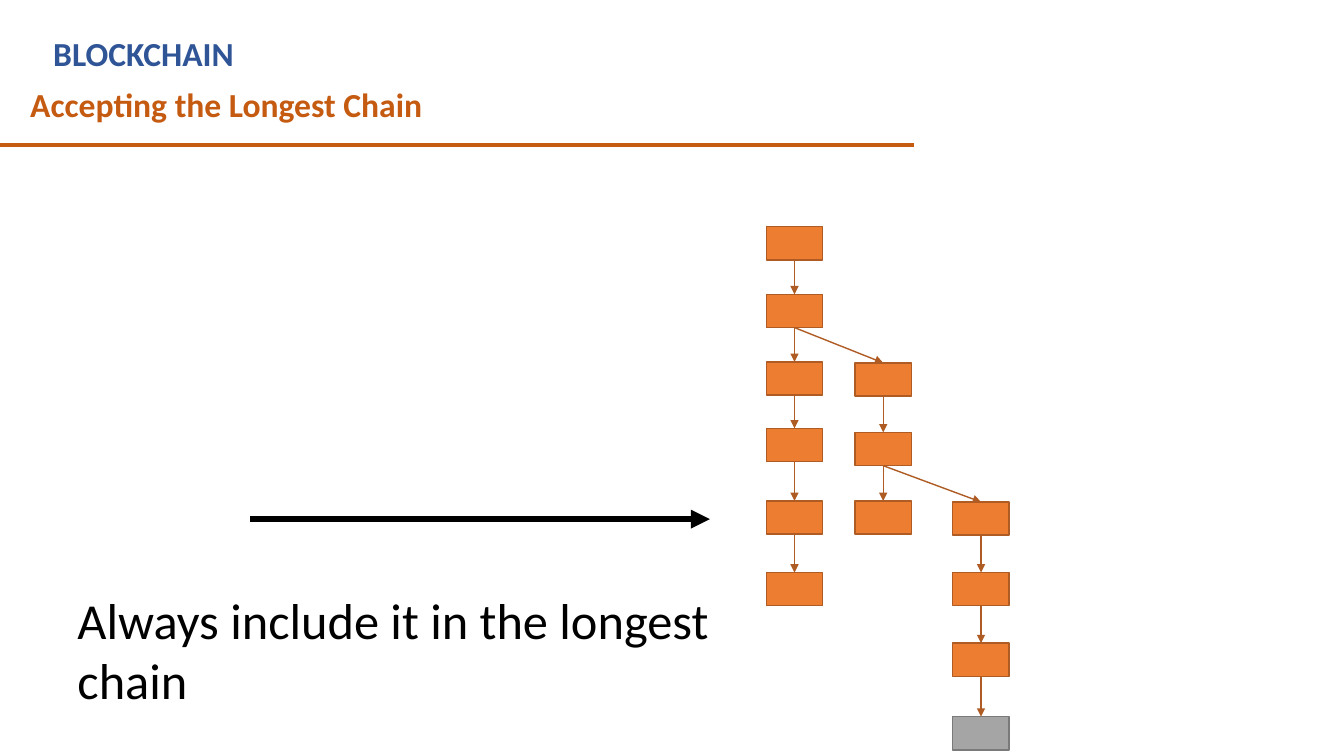
from itertools import pairwise

from lxml.etree import SubElement
from pptx import Presentation
from pptx.dml.color import RGBColor
from pptx.enum.shapes import MSO_CONNECTOR, MSO_SHAPE
from pptx.enum.text import MSO_ANCHOR, MSO_AUTO_SIZE, PP_ALIGN
from pptx.oxml.ns import qn
from pptx.util import Pt

PX = 9144  # 100 px to the inch
RUST, EDGE, BLACK = "C55A11", "AF5C24", "000000"


def write(box, place, text, size, color, bold=True):
    """Place a text box or placeholder and fill it with one paragraph."""
    box.left, box.top, box.width, box.height = [n * PX for n in place]
    frame = box.text_frame
    frame.text = text
    frame.word_wrap = True
    frame.auto_size = MSO_AUTO_SIZE.NONE
    frame.vertical_anchor = MSO_ANCHOR.TOP
    line = frame.paragraphs[0]
    line.alignment = PP_ALIGN.LEFT
    line.font.name = "Calibri"
    line.font.size = Pt(size)
    line.font.bold = bold
    line.font.color.rgb = RGBColor.from_string(color)


def draw(ends, color, width, arrow=True):
    """Draw a straight line between two points given in px."""
    line = slide.shapes.add_connector(
        MSO_CONNECTOR.STRAIGHT, *[n * PX for n in ends])
    line.line.color.rgb = RGBColor.from_string(color)
    line.line.width = Pt(width)
    if arrow:
        SubElement(line.line._ln, qn("a:tailEnd"), type="triangle")
    SubElement(line._element.spPr, qn("a:effectLst"))
    return line


deck = Presentation()
deck.slide_width, deck.slide_height = 1333 * PX, 750 * PX
slide = deck.slides.add_slide(deck.slide_layouts[5])
shapes = slide.shapes

# Heading
write(shapes.title, (20, 78, 875, 50), "Accepting the Longest Chain", 24, RUST)
draw((-1, 144, 907, 144), RUST, 3, arrow=False)
write(shapes.add_textbox(0, 0, 0, 0), (43, 28, 820, 50),
      "BLOCKCHAIN", 24, "2F5597")

# Blocks of each branch: left edge, then tops
branches = [
    (760, (225, 292, 359, 425, 497, 568)),
    (848, (360, 429, 497)),
    (945, (498, 568, 638, 711)),
]
chains = []
for left, tops in branches:
    chain = []
    for top in tops:
        block = shapes.add_shape(
            MSO_SHAPE.RECTANGLE, left * PX, top * PX, 56 * PX, 33 * PX)
        block.shadow.inherit = False
        fresh = top == 711
        block.fill.solid()
        block.fill.fore_color.rgb = RGBColor.from_string(
            "A5A5A5" if fresh else "ED7D31")
        block.line.color.rgb = RGBColor.from_string(
            "7A7A7A" if fresh else EDGE)
        block.line.width = Pt(1)
        chain.append(block)
    chains.append(chain)

# Links run down each branch, and each fork leaves the second block
links = [pair for chain in chains for pair in pairwise(chain)]
links += [(old[1], new[0]) for old, new in pairwise(chains)]
for upper, lower in links:
    link = draw((0, 0, 0, 0), EDGE, 1)
    link.begin_connect(upper, 2)
    link.end_connect(lower, 0)

# Advice
draw((248, 515, 704, 515), BLACK, 4.5)
write(shapes.add_textbox(0, 0, 0, 0), (67, 579, 692, 131),
      "Always include it in the longest chain", 36, BLACK, bold=False)

deck.save("out.pptx")
